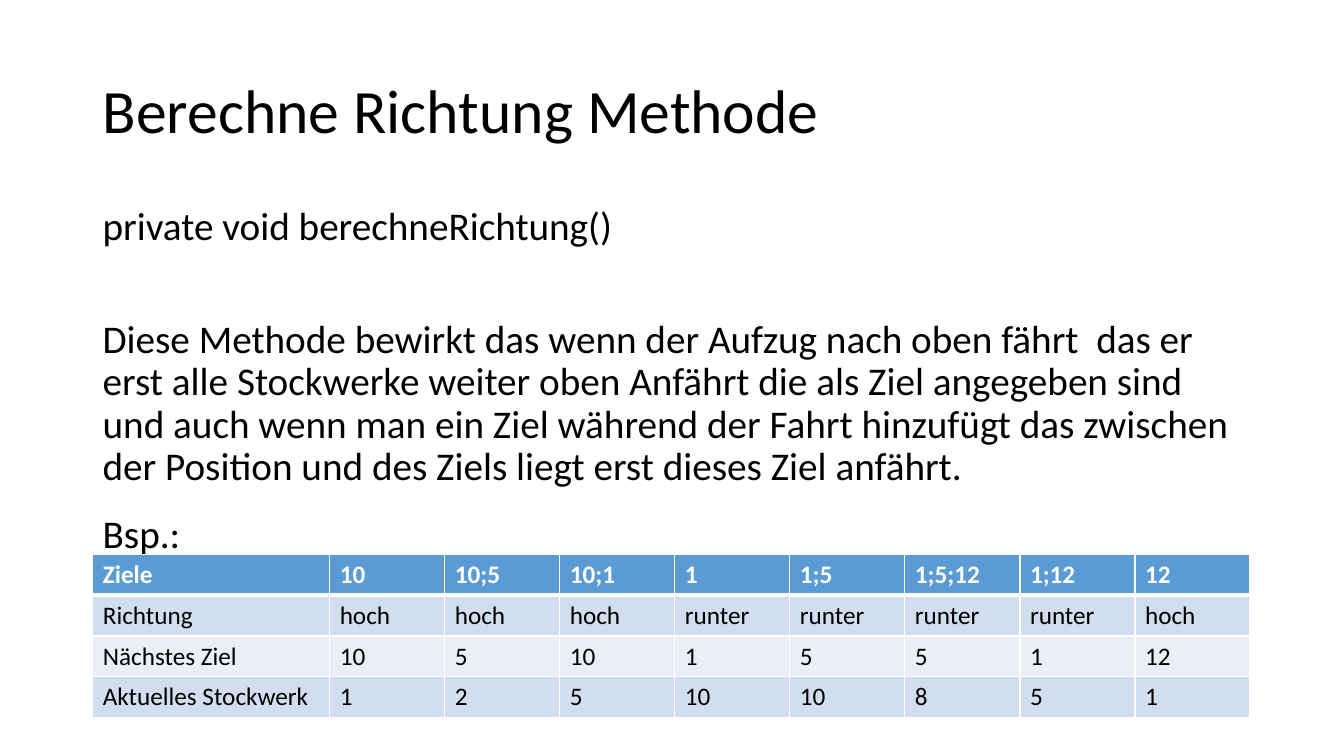
from lxml.etree import SubElement as Sub
from pptx import Presentation
from pptx.dml.color import RGBColor as Rgb
from pptx.enum.text import MSO_ANCHOR as Anchor
from pptx.oxml.ns import qn
from pptx.util import Inches, Pt

FONT = "Calibri"
BLACK, WHITE = "000000", "FFFFFF"
HEAD, BANDS = "5B9BD5", ("D2DEEF", "EAEFF7")

TITLE = "Berechne Richtung Methode"
BODY = [
    ("private void berechneRichtung()", 0),
    ("Diese Methode bewirkt das wenn der Aufzug nach oben fährt  das er erst "
     "alle Stockwerke weiter oben Anfährt die als Ziel angegeben sind und auch "
     "wenn man ein Ziel während der Fahrt hinzufügt das zwischen der Position "
     "und des Ziels liegt erst dieses Ziel anfährt.", 50.4),
    ("Bsp.:", 18.7),
]
ROWS = [
    ["Ziele", "10", "10;5", "10;1", "1", "1;5", "1;5;12", "1;12", "12"],
    ["Richtung", "hoch", "hoch", "hoch", "runter", "runter", "runter", "runter", "hoch"],
    ["Nächstes Ziel", "10", "5", "10", "1", "5", "5", "1", "12"],
    ["Aktuelles Stockwerk", "1", "2", "5", "10", "10", "8", "5", "1"],
]


def color(fmt, code):
    """Set a colour format to a hex code."""
    fmt.rgb = Rgb.from_string(code)


def style(para, size, code=BLACK, bold=False):
    """Set the font of a paragraph."""
    font = para.font
    font.name, font.size, font.bold = FONT, Pt(size), bold
    font.fill.solid()
    color(font.fill.fore_color, code)


def border(cell, row):
    """Draw white cell borders, thick between header and body."""
    wide = {(0, "B"), (1, "T")}
    props = cell._tc.get_or_add_tcPr()
    for side in "LRTB":
        width = Pt(3 if (row, side) in wide else 1)
        line = Sub(props, qn(f"a:ln{side}"), w=str(width))
        Sub(Sub(line, qn("a:solidFill")), qn("a:srgbClr"), val=WHITE)


def add_title(slide, box):
    """Place and format the title."""
    title = slide.shapes.title
    title.left, title.top, title.width, title.height = map(Inches, box)
    frame = title.text_frame
    frame.text = TITLE
    frame.word_wrap = True
    frame.vertical_anchor = Anchor.MIDDLE
    para = frame.paragraphs[0]
    para.alignment = 1
    para.line_spacing = 0.9
    style(para, 44)


def add_body(slide, box):
    """Place the description of the method."""
    frame = slide.shapes.add_textbox(*map(Inches, box)).text_frame
    frame.word_wrap = True
    for i, (text, gap) in enumerate(BODY):
        para = frame.add_paragraph() if i else frame.paragraphs[0]
        para.text = text
        para.line_spacing = 0.9
        para.space_before = Pt(gap)
        style(para, 28)


def add_grid(slide, box, first):
    """Place the example table, its first column of the given width."""
    count = len(ROWS[0])
    table = slide.shapes.add_table(len(ROWS), count, *map(Inches, box)).table
    rest = (box[2] - first) / (count - 1)
    for i, col in enumerate(table.columns):
        col.width = Inches(rest if i else first)
    for r, row in enumerate(ROWS):
        table.rows[r].height = Inches(box[3] / len(ROWS))
        for c, text in enumerate(row):
            cell = table.cell(r, c)
            border(cell, r)
            cell.fill.solid()
            color(cell.fill.fore_color, BANDS[(r - 1) % 2] if r else HEAD)
            cell.text = text
            style(cell.text_frame.paragraphs[0], 18, BLACK if r else WHITE, r == 0)


def build():
    """Build and save the slide."""
    deck = Presentation()
    deck.slide_width, deck.slide_height = Inches(13.33), Inches(7.5)
    slide = deck.slides.add_slide(deck.slide_layouts[5])
    add_title(slide, (0.92, 0.4, 11.5, 1.45))
    add_body(slide, (0.92, 2, 11.5, 4.76))
    add_grid(slide, (0.92, 5.5, 11.48, 1.62), 2.35)
    deck.save("out.pptx")


build()
